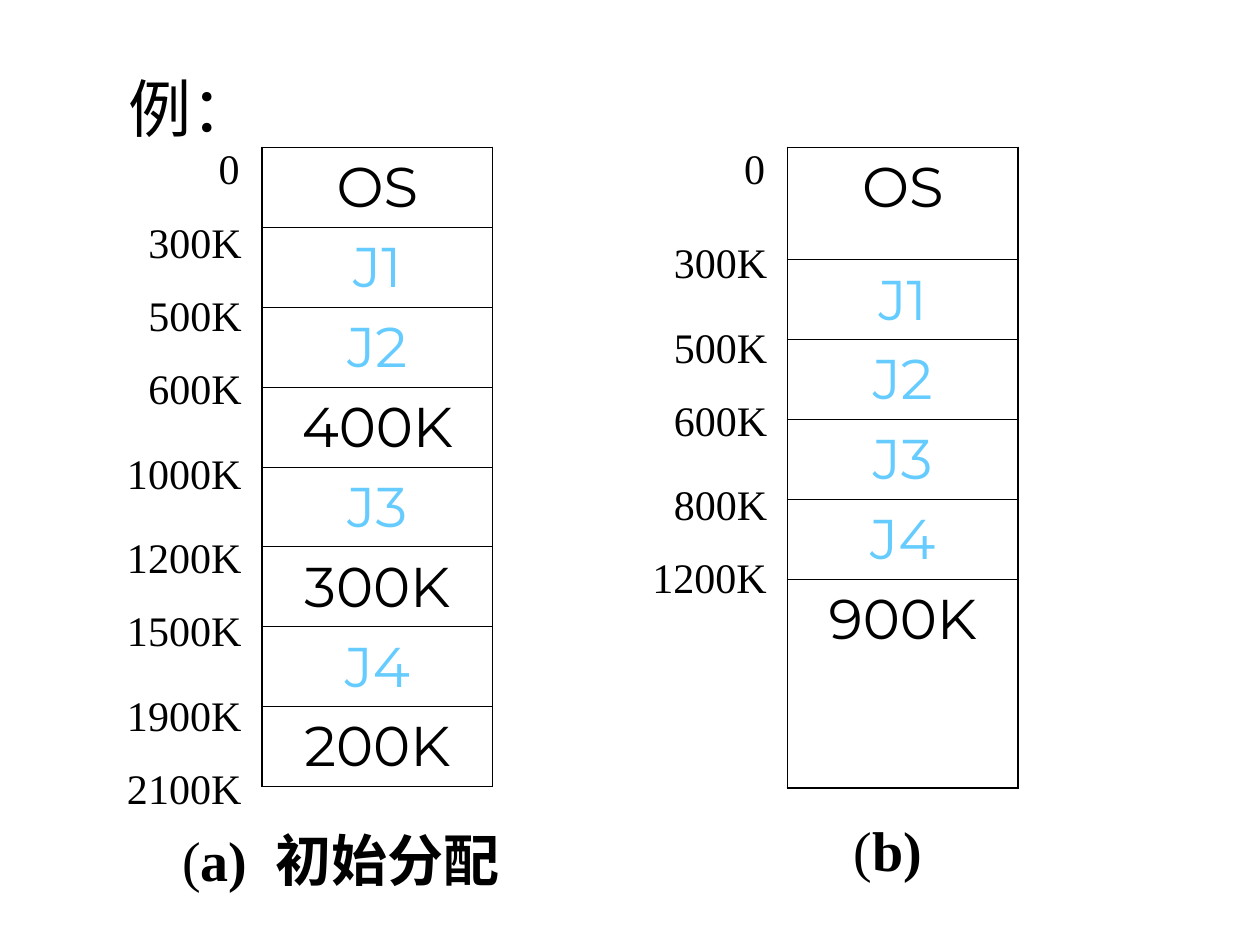
from lxml.etree import SubElement
from pptx import Presentation
from pptx.dml.color import RGBColor
from pptx.enum.text import MSO_ANCHOR, MSO_AUTO_SIZE, PP_ALIGN
from pptx.oxml.ns import qn
from pptx.util import Inches, Pt

COLORS = {"ink": "000000", "job": "66CCFF"}
FONTS = {"label": "Times New Roman", "cell": "Montserrat"}
FRAME = {"word_wrap": True, "auto_size": MSO_AUTO_SIZE.SHAPE_TO_FIT_TEXT,
         "vertical_anchor": MSO_ANCHOR.TOP}
WIDTH = 1.83
TOP = 1.17
ROW = 0.63
THICK, THIN = 1.08, 0.45

MAPS = [
    {"left": 2.08,
     "cells": ["OS", "J1", "J2", "400K", "J3", "300K", "J4", "200K"],
     "rows": [ROW] * 8,
     "marks": [("0", 1.08), ("300K", 1.67), ("500K", 2.25), ("600K", 2.83),
               ("1000K", 3.5), ("1200K", 4.17), ("1500K", 4.75),
               ("1900K", 5.42), ("2100K", 6)],
     "title": "a)  初始分配", "place": (1.08, 6.5)},
    {"left": 6.25,
     "cells": ["OS", "J1", "J2", "J3", "J4", "900K"],
     "rows": [0.89] + [ROW] * 4 + [1.66],
     "marks": [("0", 1.08), ("300K", 1.83), ("500K", 2.5), ("600K", 3.08),
               ("800K", 3.75), ("1200K", 4.33)],
     "title": "b)", "place": (5.42, 6.42)},
]


def style(item, values):
    """Set each named attribute of an item."""
    for name, value in values.items():
        setattr(item, name, value)


def write(para, text, size, font="label", color="ink", bold=False):
    """Add one formatted run to a paragraph."""
    run = para.add_run()
    run.text = text
    style(run.font, {"size": Pt(size), "name": FONTS[font], "bold": bold})
    run.font.color.rgb = RGBColor.from_string(COLORS[color])


def add_box(slide, left, top, width, height, align):
    """Add a text box and return its first paragraph."""
    box = slide.shapes.add_textbox(*map(Inches, (left, top, width, height)))
    style(box.text_frame, FRAME)
    para = box.text_frame.paragraphs[0]
    para.alignment = align
    return para


def add_title(slide, text):
    """Move and format the title placeholder."""
    title = slide.shapes.title
    style(title, {"left": Inches(0.92), "top": Inches(0.5),
                  "width": Inches(7.17), "height": Inches(0.7)})
    style(title.text_frame, FRAME)
    para = title.text_frame.paragraphs[0]
    para.alignment = PP_ALIGN.LEFT
    write(para, text, 36)


def add_edge(cell, side, width):
    """Draw one border of a cell."""
    props = cell._tc.get_or_add_tcPr()
    line = SubElement(props, qn(f"a:ln{side}"), w=str(Pt(width)))
    fill = SubElement(line, qn("a:solidFill"))
    SubElement(fill, qn("a:srgbClr"), val=COLORS["ink"])


def add_map(slide, left, cells, rows):
    """Add a memory map as a table of one column."""
    frame = slide.shapes.add_table(len(rows), 1, Inches(left), Inches(TOP),
                                   Inches(WIDTH), Inches(sum(rows)))
    table = frame.table
    style(table, {"first_row": False, "horz_banding": False})
    last = len(rows) - 1
    for i, (text, height) in enumerate(zip(cells, rows)):
        table.rows[i].height = Inches(height)
        cell = table.cell(i, 0)
        edges = {"L": THICK, "R": THICK, "T": THIN if i else THICK,
                 "B": THIN if i < last else THICK}
        for side, width in edges.items():
            add_edge(cell, side, width)
        cell.fill.background()
        para = cell.text_frame.paragraphs[0]
        para.alignment = PP_ALIGN.CENTER
        write(para, text, 32, "cell", "job" if text[0] == "J" else "ink")


def add_mark(slide, edge, text, top):
    """Add an address label to the left of a map."""
    if text == "0":
        shift, width, align = 1.08, 1, PP_ALIGN.RIGHT
    else:
        shift = width = 1 if len(text) == 4 else 1.17
        align = PP_ALIGN.LEFT
    write(add_box(slide, edge - shift, top, width, 0.5, align), text, 24)


def add_note(slide, text, left, top):
    """Add a caption with a plain opening bracket and bold text."""
    para = add_box(slide, left, top, 3.25, 0.64, PP_ALIGN.CENTER)
    write(para, "(", 32)
    write(para, text, 32, bold=True)


def main():
    """Build the slide and save it."""
    deck = Presentation()
    style(deck, {"slide_width": Inches(10), "slide_height": Inches(7.5)})
    slide = deck.slides.add_slide(deck.slide_layouts[5])
    add_title(slide, "例：")
    for part in MAPS:
        add_map(slide, part["left"], part["cells"], part["rows"])
        for text, top in part["marks"]:
            add_mark(slide, part["left"], text, top)
        add_note(slide, part["title"], *part["place"])
    deck.save("out.pptx")


if __name__ == "__main__":
    main()
